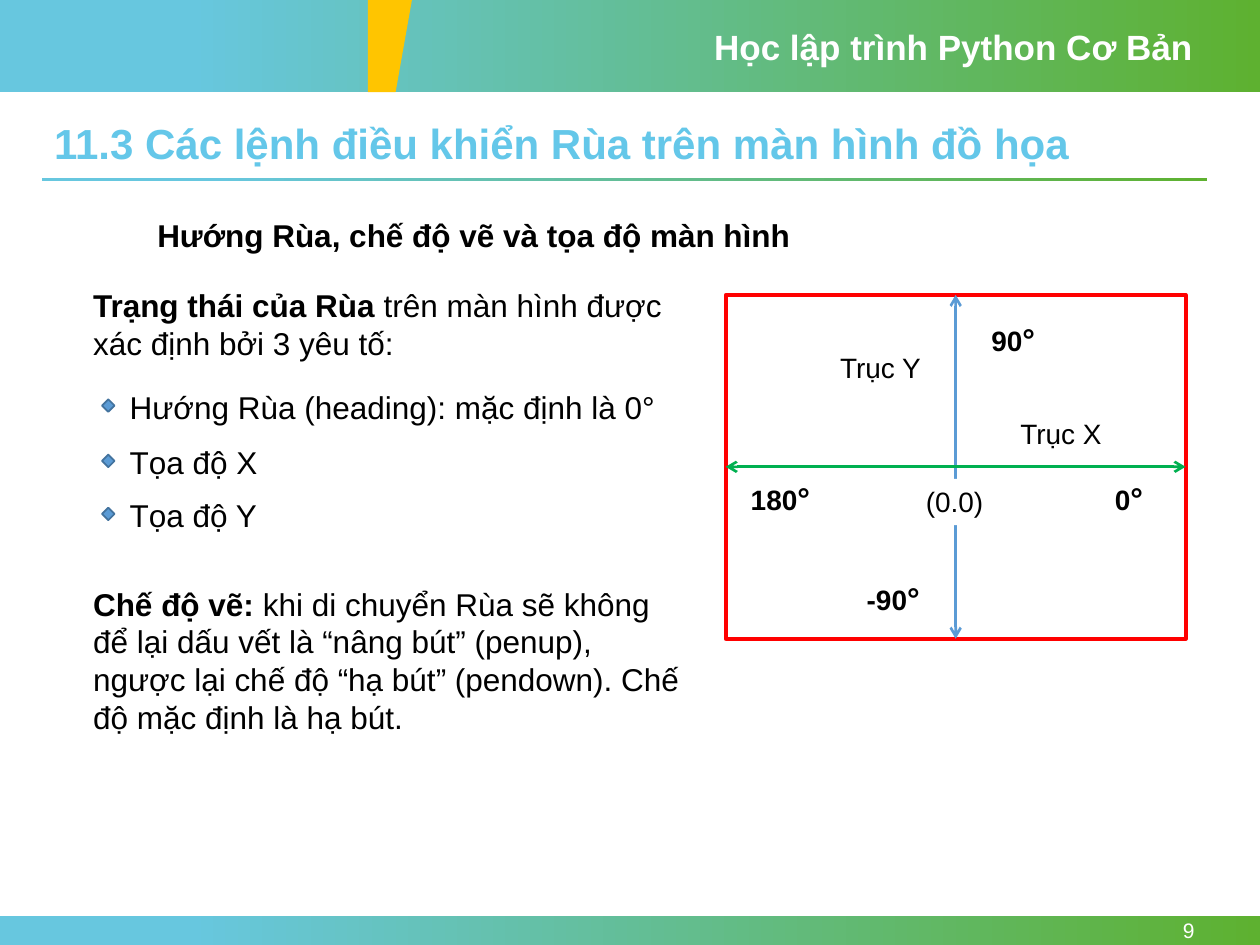
from lxml import etree
from pptx import Presentation
from pptx.dml.color import RGBColor
from pptx.enum.shapes import MSO_CONNECTOR, MSO_SHAPE
from pptx.enum.text import MSO_ANCHOR, PP_ALIGN
from pptx.oxml.ns import qn
from pptx.util import Pt

WHITE = RGBColor(0xFF, 0xFF, 0xFF)
BLACK = RGBColor(0, 0, 0)
SKY = RGBColor(0x67, 0xC7, 0xDF)
LEAF = RGBColor(0x5E, 0xB1, 0x30)
YELLOW = RGBColor(0xFF, 0xC5, 0x00)
TITLE_BLUE = RGBColor(0x64, 0xC7, 0xE9)
RED = RGBColor(0xFF, 0, 0)
AXIS_BLUE = RGBColor(0x5B, 0x9B, 0xD5)
AXIS_GREEN = RGBColor(0x00, 0xB0, 0x50)
DIAMOND_EDGE = RGBColor(0x43, 0x73, 0x9E)

# Content: each run is (text, size, bold); each box is left, top, width, height
COURSE = "Học lập trình Python Cơ Bản"
TITLE = "11.3 Các lệnh điều khiển Rùa trên màn hình đồ họa"
PAGE_NUMBER = "9"
BODY = [
    ((82.8, 120.2, 417.6, 28.8),
     [("Hướng Rùa, chế độ vẽ và tọa độ màn hình", 18, True)]),
    ((46.1, 159.8, 354.2, 51.1),
     [("Trạng thái của Rùa ", 18, True),
      ("trên màn hình được xác định bởi 3 yêu tố:", 18, False)]),
    ((46.1, 330.5, 354.2, 94.3),
     [("Chế độ vẽ: ", 18, True),
      ("khi di chuyển Rùa sẽ không để lại dấu vết là “nâng bút” (penup), "
       "ngược lại chế độ “hạ bút” (pendown). Chế độ mặc định là hạ bút.",
       18, False)]),
]
STATES = [  # text, top
    ("Hướng Rùa (heading): mặc định là 0°", 218.2),
    ("Tọa độ X", 249.8),
    ("Tọa độ Y", 280.1),
]
AXIS_NAMES = [  # text, box
    ("Trục Y", (473, 196.6, 70.6, 26.6)),
    ("Trục X", (576, 234.7, 83.5, 26.6)),
]
ORIGIN = ("(0.0)", (522, 273.6, 50.4, 26.6))
HEADINGS = [  # degrees, left, top, width
    ("0", 630, 270, 32.4),
    ("180", 421.9, 270, 58.3),
    ("-90", 488.2, 327.6, 53.3),
    ("90", 559.4, 179.3, 53.3),
]
SCREEN = (414.7, 168.5, 262.8, 196.5)
BANDS = [(0, 0, 720, 52.6), (0, 523.4, 720, 16.6), (23.8, 101.5, 666, 2.2)]
FLAG = [(210.2, 0), (235.4, 0), (226.1, 52.6), (210.2, 52.6)]

prs = Presentation()
prs.slide_width, prs.slide_height = Pt(720), Pt(540)
slide = prs.slides.add_slide(prs.slide_layouts[6])
shapes = slide.shapes


def add_block(kind, box, fill=None, line=None, line_width=1):
    block = shapes.add_shape(kind, *map(Pt, box))
    block.shadow.inherit = False
    paint(block, fill, line, line_width)
    return block


def paint(block, fill, line=None, line_width=1):
    if fill is None:
        block.fill.background()
    else:
        block.fill.solid()
        block.fill.fore_color.rgb = fill
    if line is None:
        block.line.fill.background()
    else:
        block.line.color.rgb = line
        block.line.width = Pt(line_width)


def write(holder, runs, color=BLACK, align=PP_ALIGN.LEFT, anchor=MSO_ANCHOR.TOP):
    frame = holder.text_frame
    frame.word_wrap = True
    frame.vertical_anchor = anchor
    paragraph = frame.paragraphs[0]
    paragraph.alignment = align
    for text, size, bold in runs:
        run = paragraph.add_run()
        run.text = text
        font_format = {"name": "Arial", "size": Pt(size), "bold": bold}
        for key, value in font_format.items():
            setattr(run.font, key, value)
        run.font.color.rgb = color
    return paragraph


def add_text(box, runs, **layout):
    return write(shapes.add_textbox(*map(Pt, box)), runs, **layout)


def add_axis(start, end, color):
    axis = shapes.add_connector(MSO_CONNECTOR.STRAIGHT, 0, 0, 0, 0)
    axis.begin_connect(screen, start)
    axis.end_connect(screen, end)
    axis.line.color.rgb = color
    axis.line.width = Pt(1.5)
    line_xml = axis.line._get_or_add_ln()
    for tip in ("a:headEnd", "a:tailEnd"):
        etree.SubElement(line_xml, qn(tip), type="arrow")
    etree.SubElement(axis._element.spPr, qn("a:effectLst"))


# Gradient bands and the yellow flag
for box in BANDS:
    band = add_block(MSO_SHAPE.RECTANGLE, box)
    band.fill.gradient()
    band.fill.gradient_angle = 0
    for stop, position, color in zip(band.fill.gradient_stops, (0.15, 1), (SKY, LEAF)):
        stop.position = position
        stop.color.rgb = color

outline = shapes.build_freeform(*map(Pt, FLAG[0]), scale=1.0)
outline.add_line_segments([(Pt(x), Pt(y)) for x, y in FLAG[1:]], close=True)
flag = outline.convert_to_shape()
flag.shadow.inherit = False
paint(flag, YELLOW)

# Header, page number and title
add_text((401, 10.8, 292, 31.7), [(COURSE, 20, True)], color=WHITE)
add_text((623.5, 523.4, 66.2, 16.6), [(PAGE_NUMBER, 12, False)],
         color=WHITE, align=PP_ALIGN.RIGHT, anchor=MSO_ANCHOR.MIDDLE)
title = add_text((23.8, 67, 666, 33.1), [(TITLE, 24, True)], color=TITLE_BLUE)
title.line_spacing = 0.9

# Explanations
for box, runs in BODY:
    add_text(box, runs)

# Turtle screen with its axes
screen = add_block(MSO_SHAPE.RECTANGLE, SCREEN, line=RED, line_width=2.25)
add_axis(2, 0, AXIS_BLUE)
add_axis(1, 3, AXIS_GREEN)
for name, box in AXIS_NAMES:
    add_text(box, [(name, 16, False)])
origin_text, origin_box = ORIGIN
write(add_block(MSO_SHAPE.RECTANGLE, origin_box, WHITE), [(origin_text, 16, False)])
for degrees, left, top, width in HEADINGS:
    heading = add_block(MSO_SHAPE.RECTANGLE, (left, top, width, 28.8), WHITE)
    write(heading, [(degrees, 16, True), ("°", 18, True)])

# Turtle state list, each with a diamond marker
for state, top in STATES:
    add_block(MSO_SHAPE.DIAMOND, (58.3, top + 10, 7.2, 7.2), AXIS_BLUE, DIAMOND_EDGE)
    add_text((67, top, 321, 28.8), [(state, 18, False)])

prs.save("out.pptx")
